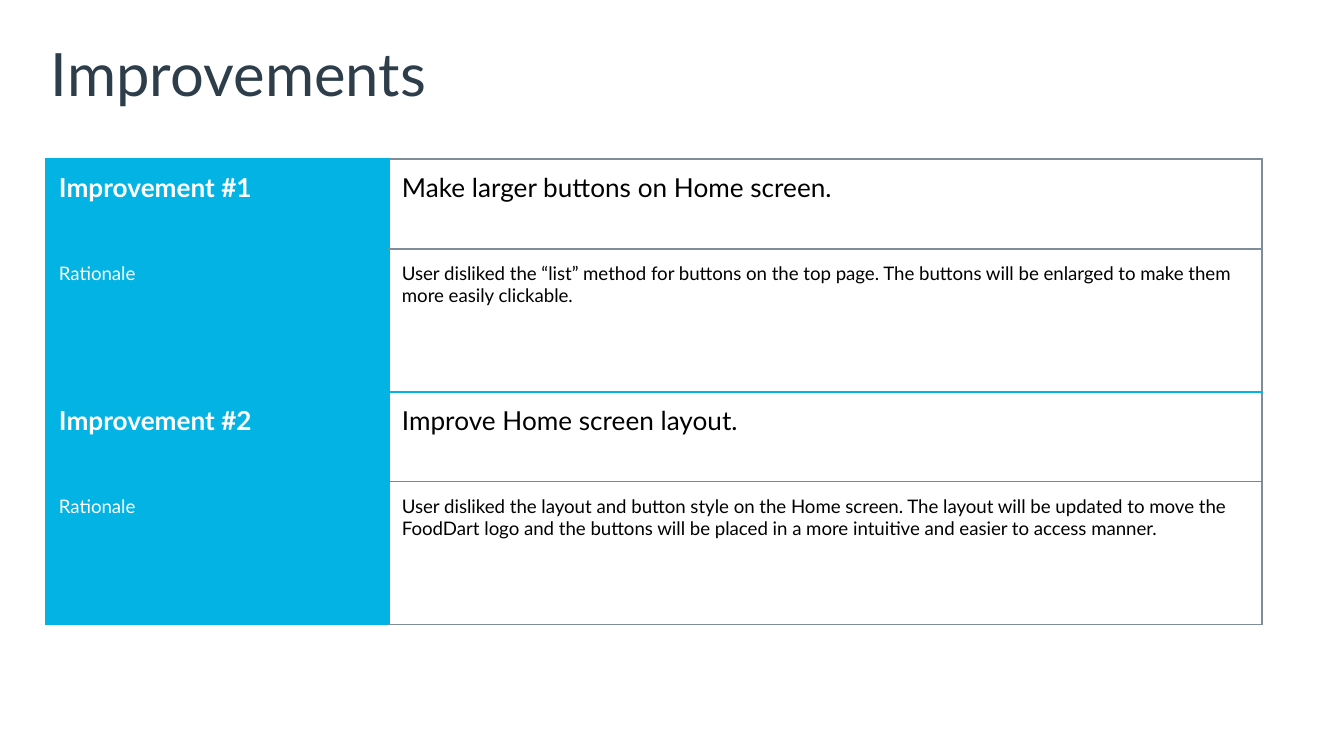
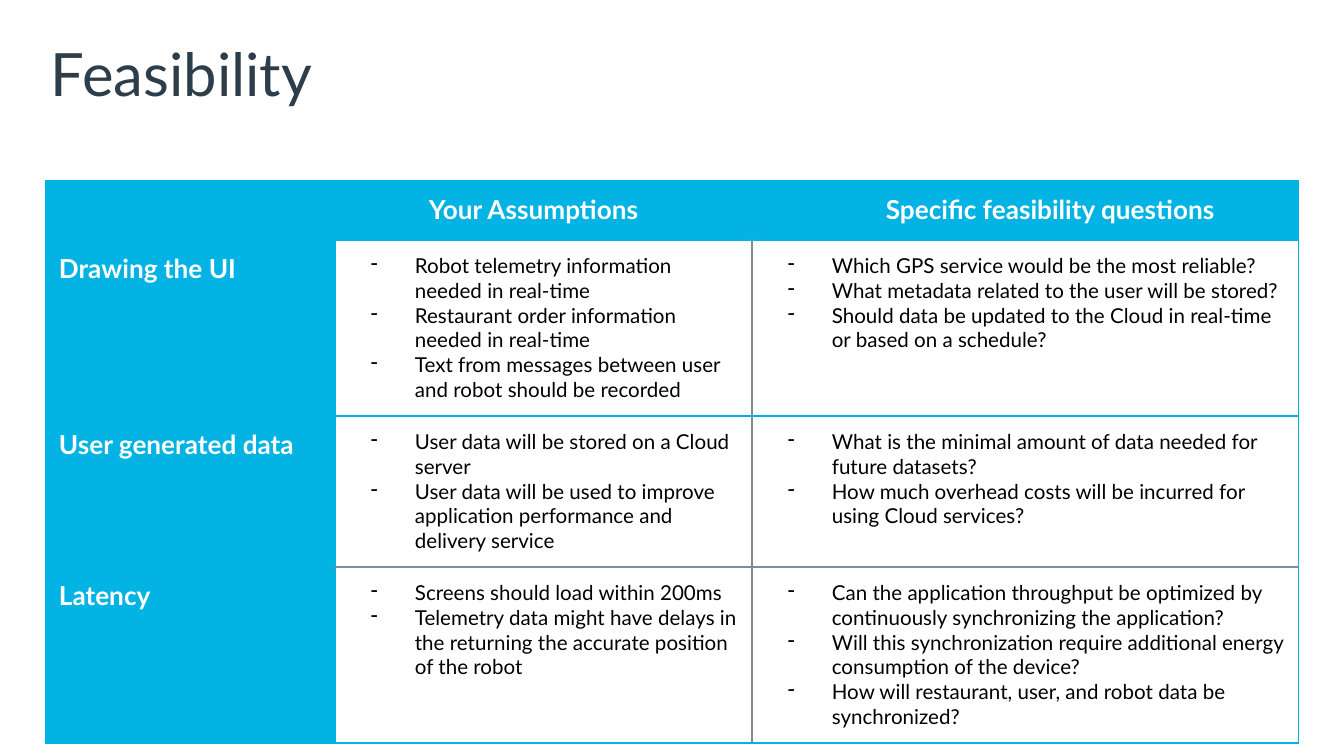
from lxml.etree import SubElement
from pptx import Presentation
from pptx.dml.color import RGBColor
from pptx.enum.text import MSO_ANCHOR
from pptx.oxml.ns import qn
from pptx.util import Pt

# Shared look
SCALE = 914400 / 134.4
HUES = {"cyan": "02B3E4", "grey": "7F8C99", "ink": "2D3D4A",
        "white": "FFFFFF", "black": "000000"}
FACE = "Lato"
LEFT = 46
PAD = 13
STYLES = {
    "title": {"size": Pt(32), "bold": False, "hue": "ink"},
    "head": {"size": Pt(14), "bold": True, "hue": "white"},
    "label": {"size": Pt(10), "bold": False, "hue": "white"},
    "lead": {"size": Pt(14), "bold": False, "hue": "black"},
    "note": {"size": Pt(10), "bold": False, "hue": "black"},
    "item": {"size": Pt(11), "bold": False, "hue": "black"},
}


def px(count):
    return round(count * SCALE)


def tint(name):
    return RGBColor.from_string(HUES[name])


def assign(target, values):
    for key, value in values.items():
        setattr(target, key, value)


def margins(side):
    return {f"margin_{edge}": px(side)
            for edge in ("left", "right", "top", "bottom")}


# Text
def write(frame, lines, style, shift=0):
    """Fill a frame with lines; items hang on a dash, others shift right."""
    form = dict(STYLES[style], name=FACE)
    hue = form.pop("hue")
    for place, line in enumerate(lines):
        para = frame.add_paragraph() if place else frame.paragraphs[0]
        props = para._p.get_or_add_pPr()
        if style == "item":
            props.set("marL", str(px(67)))
            props.set("indent", str(px(-44)))
            paint = SubElement(SubElement(props, qn("a:buClr")), qn("a:srgbClr"))
            paint.set("val", HUES[hue])
            SubElement(props, qn("a:buChar")).set("char", "-")
        elif shift:
            props.set("marL", str(px(shift)))
            props.set("indent", "0")
        if line:
            run = para.add_run()
            run.text = line
            assign(run.font, form)
            run.font.color.rgb = tint(hue)
        else:
            end = SubElement(para._p, qn("a:endParaRPr"))
            end.set("sz", str(round(form["size"].pt * 100)))


def add_title(slide, text):
    box = slide.shapes.add_textbox(px(LEFT), px(32), px(1252), px(85))
    frame = box.text_frame
    assign(frame, dict(margins(5), word_wrap=True,
                       vertical_anchor=MSO_ANCHOR.TOP))
    write(frame, [text], "title")


# Table
def edge(cell, side, hue):
    line = SubElement(cell._tc.get_or_add_tcPr(), qn(f"a:ln{side}"))
    line.set("w", str(Pt(0.75)))
    fill = SubElement(line, qn("a:solidFill"))
    SubElement(fill, qn("a:srgbClr")).set("val", HUES[hue])


def add_grid(slide, top, wide, high, rows, grey):
    """Rows hold (style, lines, shift); grey names the grey grid lines."""
    frame = slide.shapes.add_table(len(high), len(wide), px(LEFT), px(top),
                                   px(sum(wide)), px(sum(high)))
    table = frame.table
    assign(table, {"first_row": False, "horz_banding": False})
    for column, width in zip(table.columns, wide):
        column.width = px(width)
    for row, height in zip(table.rows, high):
        row.height = px(height)
    for y, row in enumerate(rows):
        for x, (style, lines, *shift) in enumerate(row):
            cell = table.cell(y, x)
            assign(cell, margins(PAD))
            solid = style in ("head", "label")
            sides = {"L": ("v", x), "R": ("v", x + 1),
                     "T": ("h", y), "B": ("h", y + 1)}
            for side, line in sides.items():
                dull = line in grey and not solid
                edge(cell, side, "grey" if dull else "cyan")
            if solid:
                cell.fill.solid()
                cell.fill.fore_color.rgb = tint("cyan")
            else:
                cell.fill.background()
            write(cell.text_frame, lines, style, *shift)


# Content
CHANGES = [
    ("Make larger buttons on Home screen.",
     "User disliked the “list” method for buttons on the top page. The buttons "
     "will be enlarged to make them more easily clickable."),
    ("Improve Home screen layout.",
     "User disliked the layout and button style on the Home screen. The layout "
     "will be updated to move the FoodDart logo and the buttons will be placed "
     "in a more intuitive and easier to access manner."),
]
TOPICS = [
    ("Drawing the UI",
     ["Robot telemetry information needed in real-time",
      "Restaurant order information needed in real-time",
      "Text from messages between user and robot should be recorded"],
     ["Which GPS service would be the most reliable?",
      "What metadata related to the user will be stored?",
      "Should data be updated to the Cloud in real-time or based on a schedule?"]),
    ("User generated data",
     ["User data will be stored on a Cloud server",
      "User data will be used to improve application performance and "
      "delivery service"],
     ["What is the minimal amount of data needed for future datasets?",
      "How much overhead costs will be incurred for using Cloud services?"]),
    ("Latency",
     ["Screens should load within 200ms",
      "Telemetry data might have delays in the returning the accurate "
      "position of the robot"],
     ["Can the application throughput be optimized by continuously "
      "synchronizing the application?",
      "Will this synchronization require additional energy consumption "
      "of the device?",
      "How will restaurant, user, and robot data be synchronized?"]),
]


def main():
    deck = Presentation()
    assign(deck, {"slide_width": px(1344), "slide_height": px(756)})
    blank = deck.slide_layouts[6]

    # Improvements
    slide = deck.slides.add_slide(blank)
    add_title(slide, "Improvements")
    rows = []
    for count, (change, reason) in enumerate(CHANGES, 1):
        rows.append([("head", [f"Improvement #{count}"]), ("lead", [change])])
        rows.append([("label", ["Rationale"]), ("note", [reason])])
    add_grid(slide, 159, [343, 873], [90, 143] * len(CHANGES), rows,
             {("h", 0), ("h", 1), ("h", 4), ("v", 2)})

    # Feasibility
    slide = deck.slides.add_slide(blank)
    add_title(slide, "Feasibility")
    rows = [[("head", [""]), ("head", ["Your Assumptions"], 81),
             ("head", ["Specific feasibility questions"], 121)]]
    for topic, views, doubts in TOPICS:
        rows.append([("head", [topic]), ("item", views), ("item", doubts)])
    add_grid(slide, 181, [289, 417, 547], [59, 176, 151, 176], rows,
             {("h", 3), ("v", 2)})

    deck.save("out.pptx")


if __name__ == "__main__":
    main()
